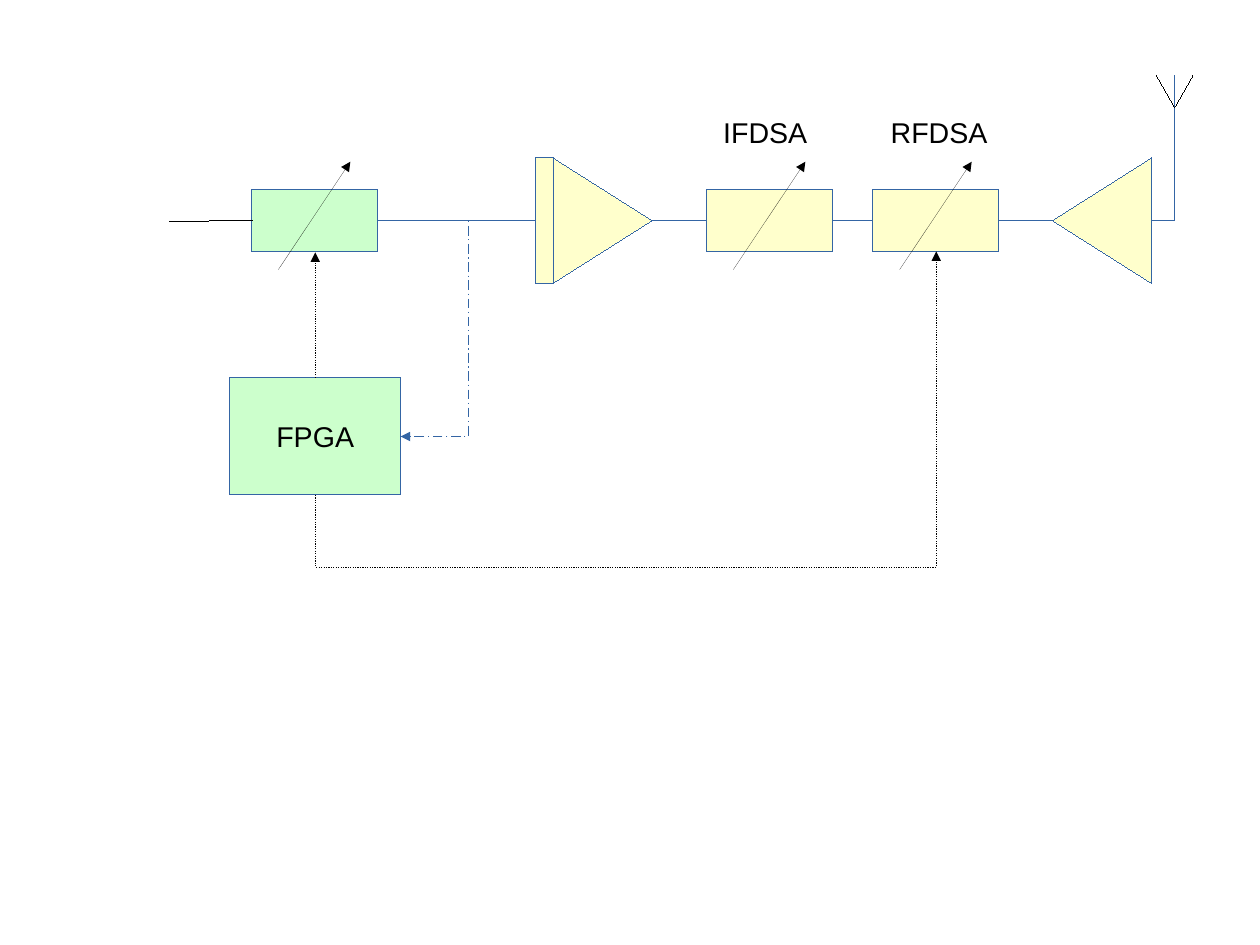
import pptx
import pptx.util
import pptx.dml.color
import pptx.enum.dml
import pptx.enum.shapes
import pptx.enum.text
import pptx.oxml
import pptx.oxml.ns

Pt = pptx.util.Pt
SHAPE = pptx.enum.shapes.MSO_SHAPE
LINK = pptx.enum.shapes.MSO_CONNECTOR
DASH = pptx.enum.dml.MSO_LINE
TEXT = pptx.enum.text

COLORS = {"blue": "3465A4", "black": "000000", "yellow": "FFFFCC", "green": "CCFFCC"}
FONT = {"name": "Arial", "size": Pt(18)}
LABEL_FRAME = {"word_wrap": False, "auto_size": TEXT.MSO_AUTO_SIZE.SHAPE_TO_FIT_TEXT}
FPGA_FRAME = {"word_wrap": False, "vertical_anchor": TEXT.MSO_ANCHOR.MIDDLE}

axis = 138.9
stage_w, stage_h = 79.2, 39.6
sweep_dx, sweep_dy = 22.7, 34
amp_base, amp_height = 79.2, 62.6
attenuators = [(158.4, "green"), (445, "yellow"), (549.8, "yellow")]
amplifiers = [(348.2, 90), (662.9, 270)]
mixer_bar = (337.4, 99.2, 11.5, 79.4)
fpga = ("FPGA", (144.6, 238, 108, 73.4))
labels = [("IFDSA", (448.5, 69, 70, 27.4)), ("RFDSA", (554, 69, 78, 27.4))]

signal_path = [(237.6, 337.4), (410.8, 445), (524.2, 549.8), (629, 662.9)]
input_line = (159.1, axis, 106.6, 139.5)
antenna_tip = (740, 67.7)
antenna_top, antenna_arm = 47.5, 11.5
antenna_feed = (725.6, axis, antenna_tip[0], antenna_top)
feedback = (337.4, axis, 252.4, 275)
fpga_mid = 198.6
fpga_control = (fpga_mid, 238, fpga_mid, 159)
rfdsa_control = (471, 430.6, 317.6, 39.6)

deck = pptx.Presentation()
deck.slide_width, deck.slide_height = Pt(793.7), Pt(595.28)
slide = deck.slides.add_slide(deck.slide_layouts[6])


def rgb(color):
    return pptx.dml.color.RGBColor.from_string(COLORS[color])


def set_line(line, color):
    line.color.rgb = rgb(color)
    line._get_or_add_ln().set("w", "0")


def block(kind, box, fill, rotation=0):
    shape = slide.shapes.add_shape(kind, *map(Pt, box))
    shape.shadow.inherit = False
    shape.fill.solid()
    shape.fill.fore_color.rgb = rgb(fill)
    set_line(shape.line, "blue")
    shape.rotation = rotation
    return shape


def write(shape, text, frame_format, align):
    frame = shape.text_frame
    for key, value in frame_format.items():
        setattr(frame, key, value)
    paragraph = frame.paragraphs[0]
    paragraph.alignment = align
    run = paragraph.add_run()
    run.text = text
    for key, value in FONT.items():
        setattr(run.font, key, value)
    run.font.color.rgb = rgb("black")


def add_element(parent, tag, **attributes):
    element = pptx.oxml.parse_xml(f"<{tag} {pptx.oxml.ns.nsdecls('a')}/>")
    for key, value in attributes.items():
        element.set(key, value)
    parent.append(element)


def wire(points, color, kind=LINK.STRAIGHT, dash=None, arrow=False, bend=None, turn=0):
    link = slide.shapes.add_connector(kind, *map(Pt, points))
    set_line(link.line, color)
    if dash:
        link.line.dash_style = dash
    outline = link.line._get_or_add_ln()
    properties = outline.getparent()
    if arrow:
        add_element(outline, "a:tailEnd", type="triangle")
    add_element(properties, "a:effectLst")
    if bend is not None:
        guides = properties.find(pptx.oxml.ns.qn("a:prstGeom")).get_or_add_avLst()
        add_element(guides, "a:gd", name="adj1", fmla=f"val {bend}")
    if turn:
        properties.find(pptx.oxml.ns.qn("a:xfrm")).set("rot", str(turn * 60000))


for center, rotation in amplifiers:
    box = (center + amp_height / 2 - amp_base / 2, axis - amp_height / 2, amp_base, amp_height)
    block(SHAPE.ISOSCELES_TRIANGLE, box, "yellow", rotation)
block(SHAPE.RECTANGLE, mixer_bar, "yellow")

for left, fill in attenuators:
    block(SHAPE.RECTANGLE, (left, axis - stage_h / 2, stage_w, stage_h), fill)
    middle = left + stage_w / 2
    wire((middle - sweep_dx, axis + sweep_dy - 3, middle + sweep_dx, axis - sweep_dy - 3),
         "black", arrow=True)

for start, end in signal_path:
    wire((start, axis, end, axis), "blue", LINK.ELBOW)
wire(input_line, "black")
wire(antenna_feed, "blue", LINK.ELBOW, bend=98800)
for side in (-1, 1):
    wire((antenna_tip[0] + side * antenna_arm, antenna_top, *antenna_tip), "black")

fpga_name, fpga_box = fpga
write(block(SHAPE.RECTANGLE, fpga_box, "green"), fpga_name, FPGA_FRAME, TEXT.PP_ALIGN.CENTER)
wire(feedback, "blue", LINK.ELBOW, DASH.LONG_DASH_DOT, arrow=True)
wire(fpga_control, "black", LINK.ELBOW, DASH.ROUND_DOT, arrow=True)
wire(rfdsa_control, "black", LINK.ELBOW, DASH.ROUND_DOT, arrow=True, bend=-29600, turn=90)

for text, box in labels:
    write(slide.shapes.add_textbox(*map(Pt, box)), text, LABEL_FRAME, TEXT.PP_ALIGN.LEFT)

deck.save("out.pptx")
